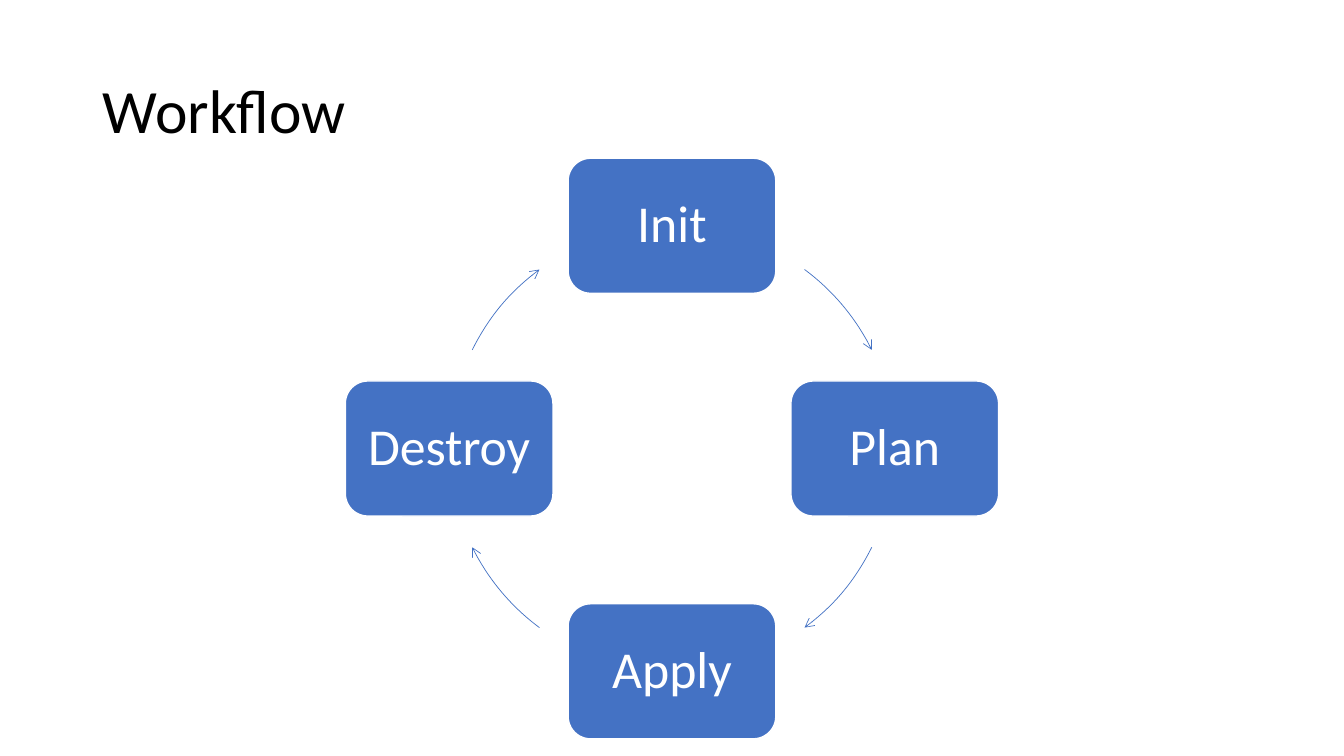
import math

from lxml import etree
from pptx import Presentation
from pptx.dml.color import RGBColor
from pptx.enum import shapes, text
from pptx.oxml.ns import qn
from pptx.util import Inches, Pt

BLUE, WHITE, BLACK = "4472C4", "FFFFFF", "000000"
WIDE, HIGH = 13.33, 7.5
MIDX, MIDY, RADIUS = WIDE / 2, 4.45, 2.21
BOXW, BOXH = 2.06, 1.34


def color(code):
    return RGBColor.from_string(code)


def write(shape, words, size, code, align, inset):
    frame = shape.text_frame
    frame.word_wrap = True
    frame.vertical_anchor = text.MSO_ANCHOR.MIDDLE
    frame.margin_left = frame.margin_right = Inches(inset)
    para = frame.paragraphs[0]
    para.text = words
    para.alignment = align
    para.line_spacing = 0.9
    para.font.name = "Calibri"
    para.font.size = Pt(size)
    para.font.color.rgb = color(code)


deck = Presentation()
deck.slide_width, deck.slide_height = Inches(WIDE), Inches(HIGH)
slide = deck.slides.add_slide(deck.slide_layouts[5])

title = slide.shapes.title
title.left, title.top = Inches(0.92), Inches(0.4)
title.width, title.height = Inches(11.5), Inches(1.45)
write(title, "Workflow", 44, BLACK, text.PP_ALIGN.LEFT, 0.1)

# Steps run clockwise from the top, each followed by an arc to the next
for i, step in enumerate(["Init", "Plan", "Apply", "Destroy"]):
    angle = 90 * i - 90
    x = MIDX + RADIUS * math.cos(math.radians(angle))
    y = MIDY + RADIUS * math.sin(math.radians(angle))
    box = slide.shapes.add_shape(
        shapes.MSO_SHAPE.ROUNDED_RECTANGLE, Inches(x - BOXW / 2),
        Inches(y - BOXH / 2), Inches(BOXW), Inches(BOXH))
    box.shadow.inherit = False
    box.fill.solid()
    box.fill.fore_color.rgb = color(BLUE)
    box.line.color.rgb = color(WHITE)
    box.line.width = Pt(1)
    write(box, step, 37, WHITE, text.PP_ALIGN.CENTER, 0.15)

    arc = slide.shapes.add_shape(
        shapes.MSO_SHAPE.ARC, Inches(MIDX - RADIUS), Inches(MIDY - RADIUS),
        Inches(2 * RADIUS), Inches(2 * RADIUS))
    arc.shadow.inherit = False
    arc.fill.background()
    arc.line.color.rgb = color(BLUE)
    arc.line.width = Pt(0.5)
    # Arc adjustments count 0.6 per degree; the gaps mirror from turn to turn
    start, end = (36.5, 63.7) if i % 2 == 0 else (26.3, 53.5)
    arc.adjustments[0] = (angle + start) % 360 * 0.6
    arc.adjustments[1] = (angle + end) % 360 * 0.6
    line = arc.element.spPr.find(qn("a:ln"))
    etree.SubElement(line, qn("a:tailEnd"), type="arrow")

deck.save("out.pptx")
